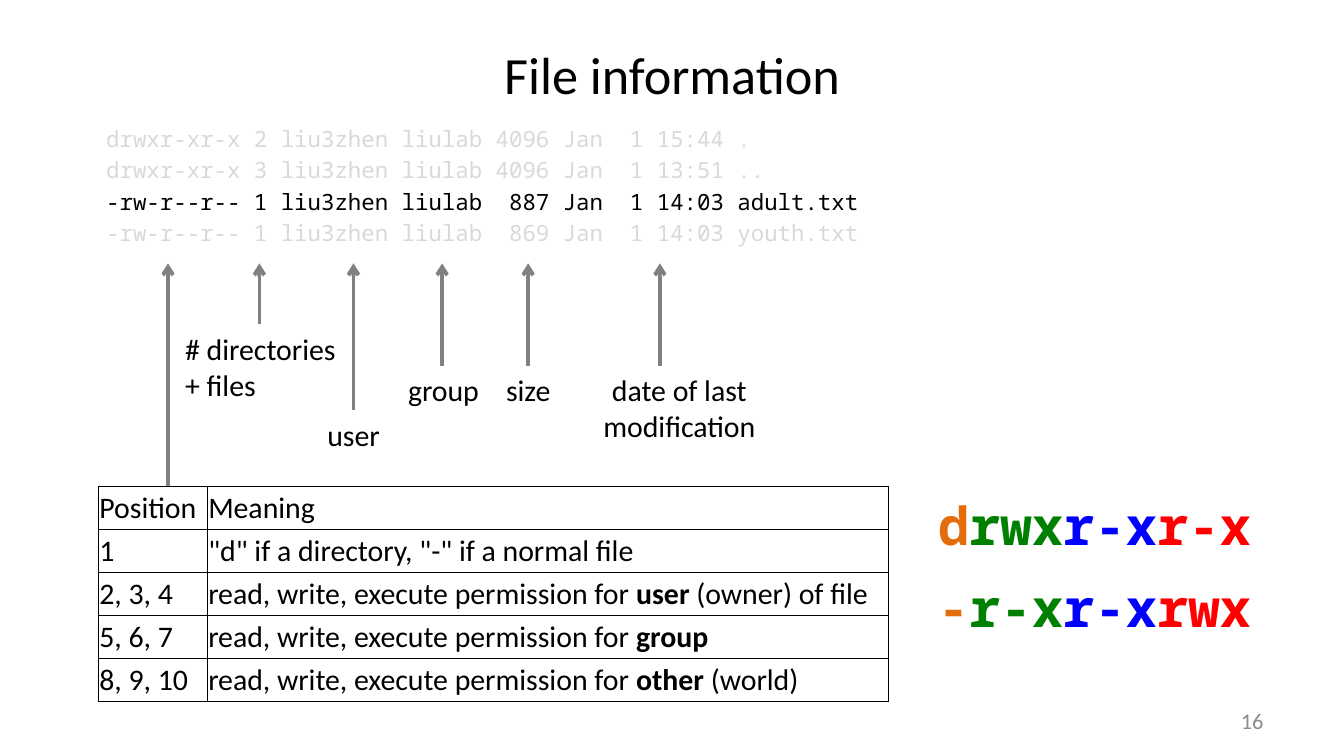
from lxml.etree import SubElement
from pptx import Presentation
from pptx.dml.color import RGBColor
from pptx.enum.shapes import MSO_CONNECTOR
from pptx.enum.text import MSO_ANCHOR, MSO_AUTO_SIZE, PP_ALIGN
from pptx.oxml import parse_xml
from pptx.oxml.ns import nsdecls, qn
from pptx.util import Inches, Pt

SANS, MONO = "Calibri", "Noto Sans Mono"
BLACK, PALE, GRAY, NUMBER_GRAY = "000000", "D9D9D9", "808080", "8C8C8C"
ORANGE, GREEN, BLUE, RED = "E46C0A", "008000", "0000FF", "FF0000"

TITLE = "File information"
LISTING = [
    ("drwxr-xr-x 2 liu3zhen liulab 4096 Jan  1 15:44 .", PALE),
    ("drwxr-xr-x 3 liu3zhen liulab 4096 Jan  1 13:51 ..", PALE),
    ("-rw-r--r-- 1 liu3zhen liulab  887 Jan  1 14:03 adult.txt", BLACK),
    ("-rw-r--r-- 1 liu3zhen liulab  869 Jan  1 14:03 youth.txt", PALE),
]
PERMISSION = "read, write, execute permission for "
ROWS = [
    ("Position", ["Meaning"]),
    ("1", ['"d" if a directory, "-" if a normal file']),
    ("2, 3, 4", [PERMISSION, "user ", "(owner) of file"]),
    ("5, 6, 7", [PERMISSION, "group"]),
    ("8, 9, 10", [PERMISSION, "other", " (world)"]),
]
COLUMN_WIDTHS = [0.81, 5.07]
TABLE_LEFT, TABLE_TOP, ROW_HEIGHT = 0.73, 3.62, 0.32
ARROW_TIP = 1.96
ARROWS = [(1.25, TABLE_TOP), (1.93, 2.41), (2.63, 3.05),
          (3.29, 2.72), (3.93, 2.72), (4.91, 2.72)]
LABELS = [
    ("# directories + files", 1.28, 2.41, 1.34, 0.64, PP_ALIGN.LEFT),
    ("user", 2.24, 3.05, 0.78, 0.37, PP_ALIGN.CENTER),
    ("group", 2.91, 2.72, 0.78, 0.37, PP_ALIGN.CENTER),
    ("size", 3.54, 2.72, 0.78, 0.37, PP_ALIGN.CENTER),
    ("date of last modification", 4.16, 2.72, 1.79, 0.64, PP_ALIGN.CENTER),
]
MODE_COLORS = [ORANGE, GREEN, BLUE, RED]
MODES = [(["d", "rwx", "r-x", "r-x"], 3.62), (["-", "r-x", "r-x", "rwx"], 4.23)]


def rgb(color):
    return RGBColor.from_string(color)


def place(shape, left, top, width, height):
    shape.left, shape.top = Inches(left), Inches(top)
    shape.width, shape.height = Inches(width), Inches(height)


def add_run(p, text, size, color=BLACK, font=SANS, bold=False):
    r = p.add_run()
    r.text = text
    r.font.size, r.font.name, r.font.bold = Pt(size), font, bold
    r.font.color.rgb = rgb(color)


def add_box(s, left, top, width, height, align=PP_ALIGN.LEFT, wrap=True):
    tf = s.shapes.add_textbox(Inches(left), Inches(top), Inches(width), Inches(height)).text_frame
    tf.word_wrap = wrap
    tf.auto_size = MSO_AUTO_SIZE.SHAPE_TO_FIT_TEXT
    tf.paragraphs[0].alignment = align
    return tf


def add_arrow(s, x, start):
    line = s.shapes.add_connector(
        MSO_CONNECTOR.STRAIGHT, Inches(x), Inches(start), Inches(x), Inches(ARROW_TIP))
    line.line.color.rgb = rgb(GRAY)
    line.line.width = Pt(2)
    sp_pr = line._element.spPr
    SubElement(sp_pr.find(qn("a:ln")), qn("a:tailEnd"), type="arrow")
    SubElement(sp_pr, qn("a:effectLst"))


def add_borders(cell):
    tc_pr = cell._tc.get_or_add_tcPr()
    for i, side in enumerate("LRTB"):
        tc_pr.insert(i, parse_xml(
            f'<a:ln{side} {nsdecls("a")} w="{Pt(0.5)}"><a:solidFill>'
            f'<a:srgbClr val="{BLACK}"/></a:solidFill></a:ln{side}>'))


def fill_cell(cell, texts):
    cell.fill.background()
    cell.vertical_anchor = MSO_ANCHOR.MIDDLE
    cell.margin_left = cell.margin_right = cell.margin_top = Inches(0.01)
    cell.margin_bottom = 0
    for i, text in enumerate(texts):
        add_run(cell.text_frame.paragraphs[0], text, 16, bold=i == 1)
    add_borders(cell)


def add_listing(body):
    place(body, 0.69, 0.88, 6.25, 1.08)
    tf = body.text_frame
    tf.auto_size = MSO_AUTO_SIZE.NONE
    for i, (text, color) in enumerate(LISTING):
        p = tf.add_paragraph() if i else tf.paragraphs[0]
        p_pr = p._p.get_or_add_pPr()
        p_pr.set("marL", "0")
        p_pr.set("indent", "0")
        SubElement(p_pr, qn("a:buNone"))
        p.space_before = Pt(2.4 if i else 0)
        add_run(p, text, 12, color, MONO)


def add_meanings(s):
    table = s.shapes.add_table(
        len(ROWS), 2, Inches(TABLE_LEFT), Inches(TABLE_TOP),
        Inches(sum(COLUMN_WIDTHS)), Inches(ROW_HEIGHT * len(ROWS))).table
    table.first_row = table.horz_banding = False
    for column, width in zip(table.columns, COLUMN_WIDTHS):
        column.width = Inches(width)
    for i, (position, meaning) in enumerate(ROWS):
        table.rows[i].height = Inches(ROW_HEIGHT)
        fill_cell(table.cell(i, 0), [position])
        fill_cell(table.cell(i, 1), meaning)


def main():
    prs = Presentation()
    prs.slide_width = Inches(10)
    prs.slide_height = prs.slide_width * 9 // 16
    s = prs.slides.add_slide(prs.slide_layouts[1])

    title, body = s.placeholders
    place(title, 0.5, 0.23, 9, 0.63)
    title.text_frame.vertical_anchor = MSO_ANCHOR.MIDDLE
    title.text_frame.paragraphs[0].alignment = PP_ALIGN.CENTER
    add_run(title.text_frame.paragraphs[0], TITLE, 28)
    add_listing(body)

    number = add_box(s, 7.17, 5.21, 2.33, 0.3, PP_ALIGN.RIGHT)
    number.vertical_anchor = MSO_ANCHOR.MIDDLE
    add_run(number.paragraphs[0], "16", 12, NUMBER_GRAY)

    add_meanings(s)
    for x, start in ARROWS:
        add_arrow(s, x, start)
    for text, left, top, width, height, align in LABELS:
        tf = add_box(s, left, top, width, height, align)
        add_run(tf.paragraphs[0], text, 16)
    for parts, top in MODES:
        tf = add_box(s, 6.88, top, 2.79, 0.57, wrap=False)
        for text, color in zip(parts, MODE_COLORS):
            add_run(tf.paragraphs[0], text, 28, color, MONO, True)

    prs.save("out.pptx")


if __name__ == "__main__":
    main()
